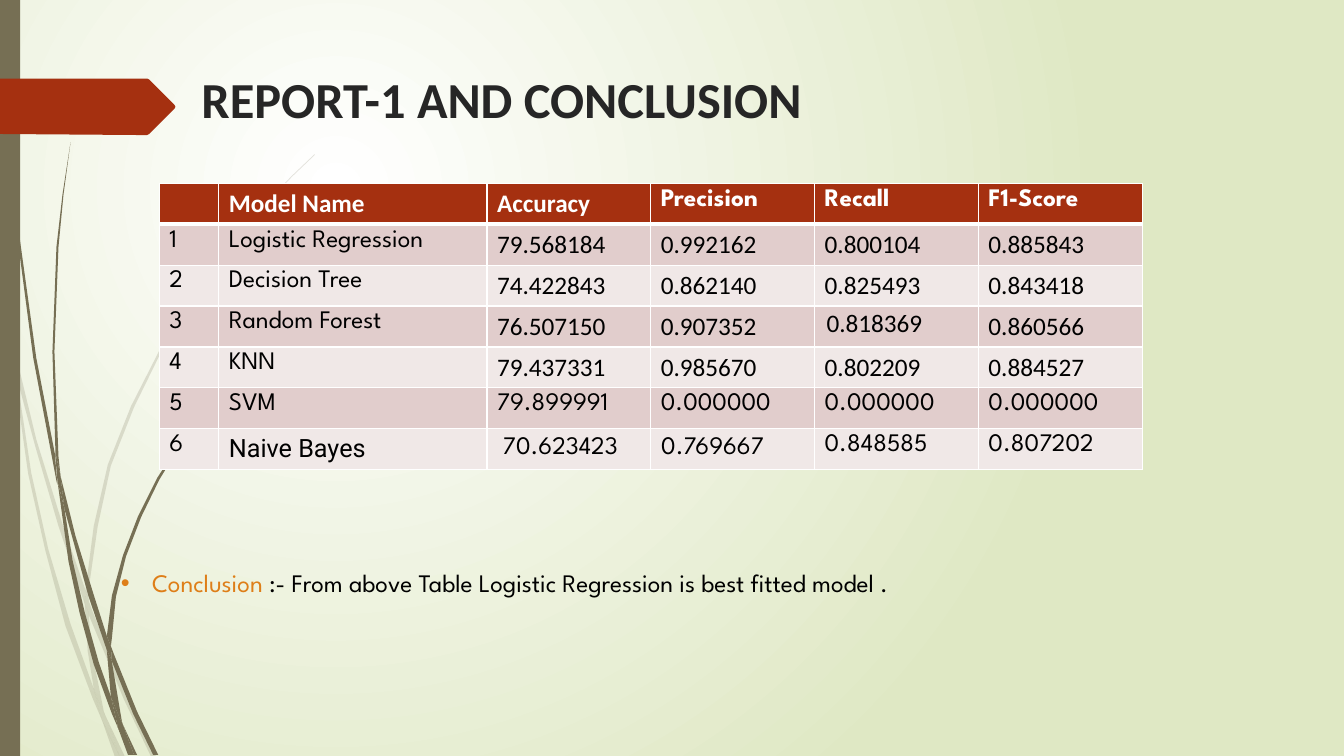
from lxml import etree
from pptx import Presentation, util as u
from pptx.dml import color
from pptx.enum import shapes, text
from pptx.oxml import ns

OLIVE, RUST, WHITE, BLACK = "766F54", "A53010", "FFFFFF", "000000"
SERIF, SPARTAN = "Calibri", "League Spartan"

FAINT_WISPS = [
    [(11, 350), (9, 322), (0, 282), (0, 299), (10, 344)],
    [(58, 522), (84, 599), (85, 586), (62, 520), (36, 436), (14, 345), (17, 376), (35, 443)],
    [(92, 607), (88, 596), (88, 610), (123, 694), (150, 751), (155, 751), (127, 692)],
    [(119, 751), (124, 751), (105, 711)],
    [(93, 683), (70, 619), (48, 545), (31, 469), (17, 376), (11, 350), (28, 470),
     (45, 546), (65, 621), (92, 693), (101, 714), (99, 707)],
    [(84, 599), (87, 646), (93, 683), (96, 692), (105, 711), (103, 706), (91, 646),
     (88, 610), (88, 608)],
    [(88, 584), (97, 522), (110, 462), (133, 404), (160, 349), (192, 296), (229, 245),
     (268, 198), (290, 175), (312, 154), (312, 153), (289, 175), (268, 197), (228, 244),
     (190, 295), (158, 348), (130, 403), (107, 461), (93, 522), (85, 584), (85, 586),
     (88, 596)],
    [(101, 714), (114, 751), (119, 751)],
    [(88, 608), (88, 610), (88, 596), (85, 586), (84, 599)],
    [(96, 692), (93, 683), (99, 707), (101, 714), (119, 751), (105, 711)],
]
DARK_WISPS = [
    [(7, 110), (17, 233), (33, 355), (56, 477), (57, 481), (55, 457), (55, 453),
     (36, 355), (19, 232), (8, 109), (5, 48), (4, 0), (3, 0), (4, 48)],
    [(88, 592), (106, 645), (106, 633), (106, 631), (93, 590), (75, 532), (60, 472),
     (64, 505)],
    [(113, 649), (110, 641), (111, 656), (132, 708), (152, 749), (157, 749), (136, 706)],
    [(110, 691), (98, 657), (84, 607), (72, 556), (64, 505), (57, 477), (68, 557),
     (79, 608), (93, 659), (111, 708), (117, 722), (116, 717)],
    [(60, 472), (58, 453), (54, 349), (58, 245), (63, 193), (70, 141), (62, 193),
     (56, 245), (52, 349), (55, 449)],
    [(133, 749), (136, 749), (122, 719)],
    [(57, 477), (64, 505), (60, 472), (55, 449), (55, 453)],
    [(111, 633), (115, 592), (125, 552), (140, 513), (158, 476), (180, 440), (205, 406),
     (231, 374), (245, 359), (261, 344), (260, 344), (245, 358), (231, 373), (204, 405),
     (179, 439), (156, 474), (137, 512), (122, 551), (111, 591), (106, 631), (110, 641)],
    [(117, 722), (127, 749), (131, 749)],
    [(106, 645), (110, 691), (116, 706), (122, 719), (121, 716), (111, 656), (109, 651)],
    [(106, 645), (109, 651), (111, 656), (110, 641), (106, 631), (106, 633)],
    [(116, 706), (110, 691), (116, 717), (117, 722), (130, 749), (133, 749), (122, 719)],
]
ARROW = [(173, 104), (174, 106), (173, 108), (148, 133), (146, 134), (136, 134),
         (0, 133), (0, 78), (146, 78), (148, 79)]

SCORES = [
    ["", "Model Name", "Accuracy", "Precision", "Recall", "F1-Score"],
    ["1", "Logistic Regression", "79.568184", "0.992162", "0.800104", "0.885843"],
    ["2", "Decision Tree", "74.422843", "0.862140", "0.825493", "0.843418"],
    ["3", "Random Forest", "76.507150", "0.907352", "", "0.860566"],
    ["4", "KNN", "79.437331", "0.985670", "0.802209", "0.884527"],
    ["5", "SVM", "79.899991", "0.000000", "0.000000", "0.000000"],
    ["6", "Naive Bayes", "", "", "0.848585", "0.807202"],
]
COLUMN_WIDTHS = [0.59, 2.66] + [6.5 / 4] * 4


def rgb(code):
    return color.RGBColor.from_string(code)


def score_font(row, column):
    if row == 0:
        return SERIF if column < 3 else SPARTAN
    if (row, column) == (6, 1):
        return "Roboto"
    return SERIF if row < 5 and column > 1 else SPARTAN


class Slide:
    style = {"size": u.Pt(18), "name": SPARTAN, "bold": False}

    def __init__(self, deck):
        self.page = deck.slides.add_slide(deck.slide_layouts[6])

    def background(self, inner, outer):
        fill = self.page.background.fill
        fill.gradient()
        for stop, code, position in zip(fill.gradient_stops, (inner, outer), (0, 1)):
            stop.color.rgb = rgb(code)
            stop.position = position
        gradient = self.page.element.find(".//" + ns.qn("a:gradFill"))
        gradient.remove(gradient.find(ns.qn("a:lin")))
        circle = etree.SubElement(gradient, ns.qn("a:path"), path="circle")
        etree.SubElement(circle, ns.qn("a:fillToRect"),
                         l="50000", t="50000", r="100000", b="100000")

    def paint(self, shape, code, alpha=None):
        shape.shadow.inherit = False
        shape.fill.solid()
        shape.fill.fore_color.rgb = rgb(code)
        shape.line.fill.background()
        if alpha:
            tint = shape.fill._xPr.find(".//" + ns.qn("a:srgbClr"))
            etree.SubElement(tint, ns.qn("a:alpha"), val=str(alpha * 1000))
        return shape

    def outline(self, points, code, alpha=None):
        builder = self.page.shapes.build_freeform(*points[0], scale=u.Inches(0.01))
        builder.add_line_segments(points[1:], close=True)
        return self.paint(builder.convert_to_shape(), code, alpha)

    def wisps(self, outlines, alpha=None):
        blades = [self.outline(points, OLIVE, alpha) for points in outlines]
        self.page.shapes.add_group_shape(blades)

    def rectangle(self, place, code):
        self.paint(self.page.shapes.add_shape(
            shapes.MSO_SHAPE.RECTANGLE, *map(u.Inches, place)), code)

    def span(self, para, words, code, **changes):
        span = para.add_run()
        span.text = words
        for key, value in {**self.style, **changes}.items():
            setattr(span.font, key, value)
        span.font.color.rgb = rgb(code)

    def text(self, place, spans, wrap=True, grow=True, bullet=False):
        box = self.page.shapes.add_textbox(*map(u.Inches, place))
        frame = box.text_frame
        frame.word_wrap = wrap
        if grow:
            frame.auto_size = text.MSO_AUTO_SIZE.SHAPE_TO_FIT_TEXT
        para = frame.paragraphs[0]
        if bullet:
            props = para._p.get_or_add_pPr()
            props.set("marL", str(u.Inches(0.31)))
            props.set("indent", str(-u.Inches(0.31)))
            etree.SubElement(props, ns.qn("a:buFont"), typeface="Arial")
            etree.SubElement(props, ns.qn("a:buChar"), char="•")
        for words, code, changes in spans:
            self.span(para, words, code, **changes)

    def border(self, cell, widths):
        props = cell._tc.get_or_add_tcPr()
        for index, (side, width) in enumerate(zip("LRTB", widths)):
            line = etree.Element(ns.qn("a:ln" + side), w=str(u.Pt(width)))
            solid = etree.SubElement(line, ns.qn("a:solidFill"))
            etree.SubElement(solid, ns.qn("a:srgbClr"), val=WHITE)
            props.insert(index, line)

    def table(self, place, rows, widths):
        table = self.page.shapes.add_table(
            len(rows), len(widths), *map(u.Inches, place)).table
        for column, width in zip(table.columns, widths):
            column.width = u.Inches(width)
        for r, row in enumerate(rows):
            header = r == 0
            for c, words in enumerate(row):
                cell = table.cell(r, c)
                cell.fill.solid()
                cell.fill.fore_color.rgb = rgb(
                    RUST if header else ("F0E8E7", "E1CDCC")[r % 2])
                self.border(cell, (1, 1, 3 if r == 1 else 1, 3 if header else 1))
                if words:
                    self.span(cell.text_frame.paragraphs[0], words,
                              WHITE if header else BLACK,
                              name=score_font(r, c), bold=header)


def main():
    deck = Presentation()
    deck.slide_width, deck.slide_height = u.Inches(13.33), u.Inches(7.5)
    slide = Slide(deck)
    slide.background(WHITE, "DFE8C4")
    slide.wisps(FAINT_WISPS, alpha=20)
    slide.wisps(DARK_WISPS)
    slide.rectangle((0, 0, 0.2, 7.5), OLIVE)
    slide.outline(ARROW, RUST)
    slide.text((1.9, 0.63, 9.75, 0.84),
               [("REPORT-1 AND CONCLUSION", "262626",
                 {"size": u.Pt(36), "name": SERIF, "bold": True})], grow=False)
    slide.text((1.1, 5.58, 10.72, 0.4),
               [("Conclusion ", "DE7E18", {}),
                (":- From above Table Logistic Regression is best fitted model .", BLACK, {})],
               bullet=True)
    slide.table((1.58, 1.82, 9.75, 2.84), SCORES, COLUMN_WIDTHS)
    for place, score, font in [((8.1, 3, 1.16, 0.4), "0.818369", SERIF),
                               ((4.89, 4.21, 1.39, 0.4), "70.623423", SPARTAN),
                               ((6.46, 4.21, 1.25, 0.4), "0.769667", SPARTAN)]:
        slide.text(place, [(score, BLACK, {"name": font})], wrap=False)
    deck.save("out.pptx")


if __name__ == "__main__":
    main()
